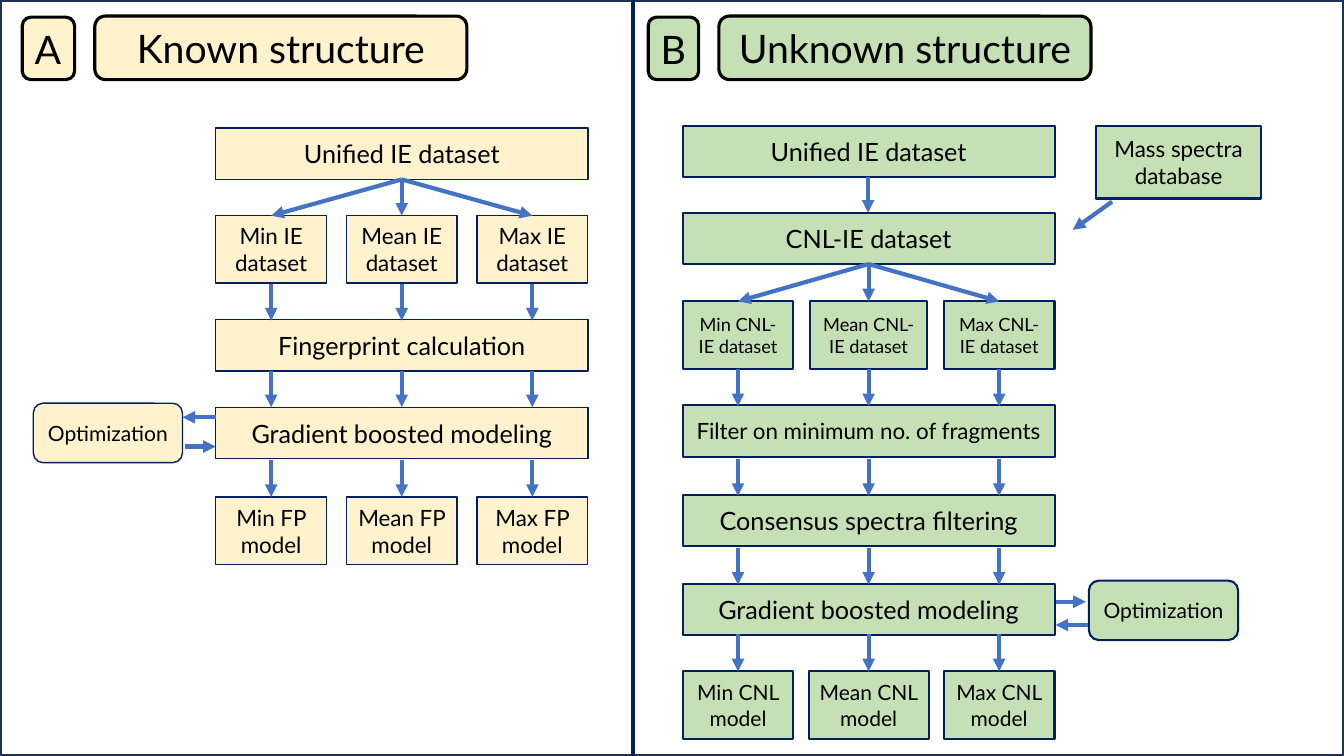
import pptx
import pptx.util
import pptx.dml.color
import pptx.enum.shapes
import pptx.enum.text
import pptx.oxml
import pptx.oxml.ns

Inches = pptx.util.Inches
Pt = pptx.util.Pt
color = pptx.dml.color.RGBColor.from_string
kinds = pptx.enum.shapes.MSO_SHAPE
aligns = pptx.enum.text.PP_ALIGN
RECT, ROUND = kinds.RECTANGLE, kinds.ROUNDED_RECTANGLE

NAVY, BLUE, BLACK = "002060", "4472C4", "000000"
CREAM, GREEN = "FFF2CC", "C5E0B4"
WIDE, TALL = 3.69, 0.51  # full-width step
CELL = 0.67  # height of a small box

deck = pptx.Presentation()
deck.slide_width = Inches(13.33)
deck.slide_height = Inches(7.5)
slide = deck.slides.add_slide(deck.slide_layouts[6])


def add_box(place, text, size, fill, edge=NAVY, width=1.0, kind=RECT, align=aligns.CENTER):
    """Draw a filled box at place (left, top, width, height) with centred text."""
    shape = slide.shapes.add_shape(kind, *[Inches(n) for n in place])
    shape.shadow.inherit = False
    shape.fill.solid()
    shape.fill.fore_color.rgb = color(fill)
    shape.line.color.rgb = color(edge)
    shape.line.width = Pt(width)
    if text:
        frame = shape.text_frame
        frame.word_wrap = True
        frame.vertical_anchor = pptx.enum.text.MSO_ANCHOR.MIDDLE
        para = frame.paragraphs[0]
        para.alignment = align
        run = para.add_run()
        run.text = text
        run.font.name = "Lato"
        run.font.size = Pt(size)
        run.font.color.rgb = color(BLACK)


def add_line(start, end, tint=BLUE, arrow=True):
    """Draw a straight line from start to end, with a head at the end if arrow."""
    ends = [Inches(n) for n in (*start, *end)]
    line = slide.shapes.add_connector(pptx.enum.shapes.MSO_CONNECTOR.STRAIGHT, *ends)
    line.line.color.rgb = color(tint)
    line.line.width = Pt(3)
    if arrow:
        head = pptx.oxml.parse_xml(
            f'<a:tailEnd {pptx.oxml.ns.nsdecls("a")} type="triangle"/>')
        line.line._get_or_add_ln().append(head)
    props = line._element.spPr
    props.append(pptx.oxml.parse_xml(f'<a:effectLst {pptx.oxml.ns.nsdecls("a")}/>'))


# Frame and divider
add_box((0, 0, 13.33, 7.5), "", 0, "FFFFFF", "1E3256", 3)
add_line((6.28, 0), (6.28, 7.5), NAVY, arrow=False)

# Panel letters and headings
for letter, left, span, head, head_left, fill in [
    ("A", 0.22, 0.52, "Known structure", 0.94, CREAM),
    ("B", 6.43, 0.5, "Unknown structure", 7.13, GREEN),
]:
    add_box((left, 0.17, span, 0.62), letter, 28, fill, BLACK, 2.25, ROUND, aligns.LEFT)
    add_box((head_left, 0.16, WIDE, 0.63), head, 28, fill, BLACK, 2.25, ROUND)

# Each panel: left edge, fill, edge width, steps, rows of three, arrow rows
panels = [
    (2.14, CREAM, 1,
     [("Unified IE dataset", 1.27, 18),
      ("Fingerprint calculation", 3.17, 18),
      ("Gradient boosted modeling", 4.04, 18)],
     [("IE dataset", 2.14, 16, 1.1), ("FP model", 4.93, 16, 1.1)],
     1.78, 2.14, [(2.82, 3.18), (3.68, 4.04), (4.56, 4.93)]),
    (6.77, GREEN, 1.5,
     [("Unified IE dataset", 1.25, 18),
      ("CNL-IE dataset", 2.11, 18),
      ("Filter on minimum no. of fragments", 4.02, 16),
      ("Consensus spectra filtering", 4.91, 18),
      ("Gradient boosted modeling", 5.79, 18)],
     [("CNL-IE dataset", 2.99, 13, 1.16), ("CNL model", 6.66, 15, 1.19)],
     2.62, 2.99, [(3.66, 4.03), (4.55, 4.92), (5.44, 5.8), (6.29, 6.66)]),
]
for left, fill, edge, steps, rows, fan_top, fan_end, drops in panels:
    mid = left + WIDE / 2
    columns = [mid - 1.295, mid, mid + 1.295]
    for text, top, size in steps:
        add_box((left, top, WIDE, TALL), text, size, fill, width=edge)
    for noun, top, size, mean_span in rows:
        for word, x, span in zip(("Min", "Mean", "Max"), columns, (1.1, mean_span, 1.1)):
            add_box((x - span / 2, top, span, CELL), f"{word} {noun}", size, fill, width=edge)
    for x in columns:
        add_line((mid, fan_top), (x, fan_end))
        for start, end in drops:
            add_line((x, start), (x, end))

# Side boxes
add_box((0.33, 4, 1.48, 0.59), "Optimization", 15, CREAM, kind=ROUND)
add_box((10.8, 5.76, 1.48, 0.59), "Optimization", 15, GREEN, width=1.5, kind=ROUND)
add_box((10.87, 1.25, 1.64, 0.72), "Mass spectra database", 16, GREEN, width=1.5)

# Side arrows
for start, end in [
    ((2.14, 4.14), (1.81, 4.14)),
    ((1.84, 4.43), (2.14, 4.43)),
    ((8.61, 1.76), (8.61, 2.11)),
    ((11.03, 2), (10.64, 2.28)),
    ((10.79, 6.2), (10.47, 6.2)),
    ((10.47, 5.97), (10.77, 5.97)),
]:
    add_line(start, end)

deck.save("out.pptx")
